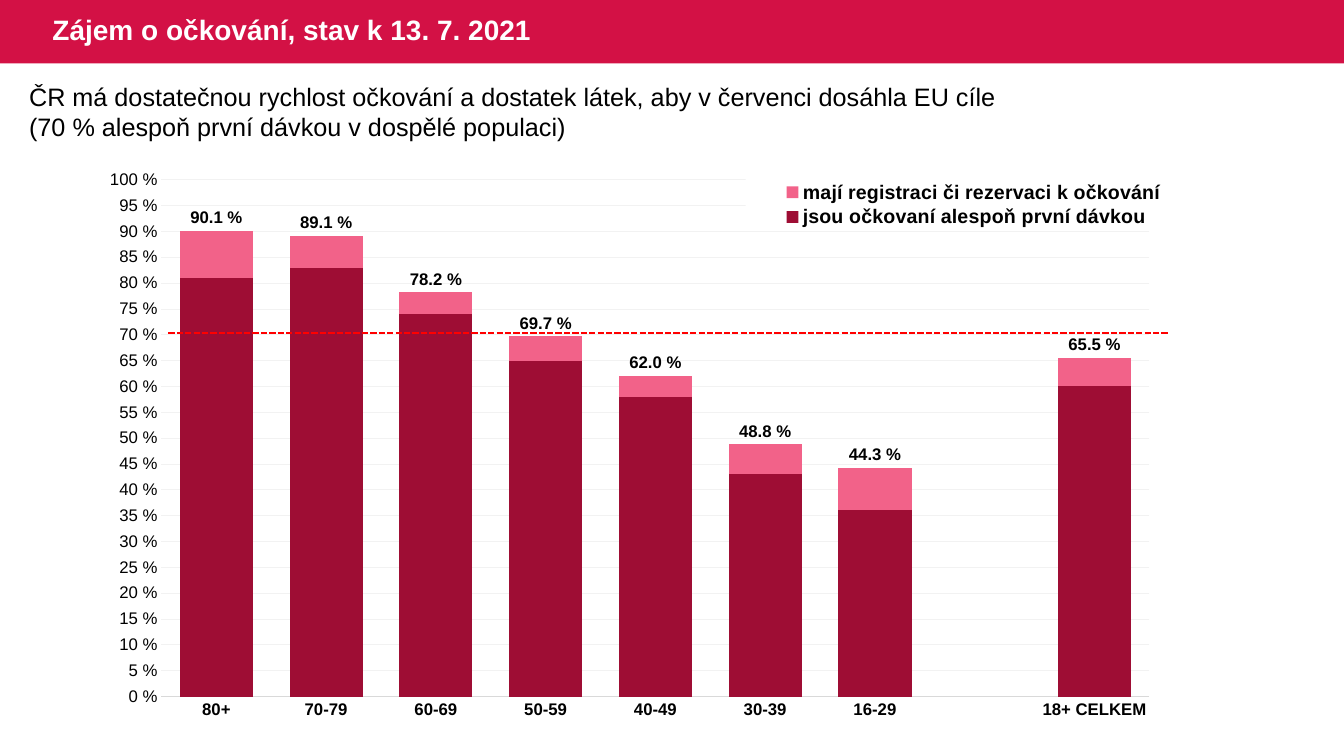
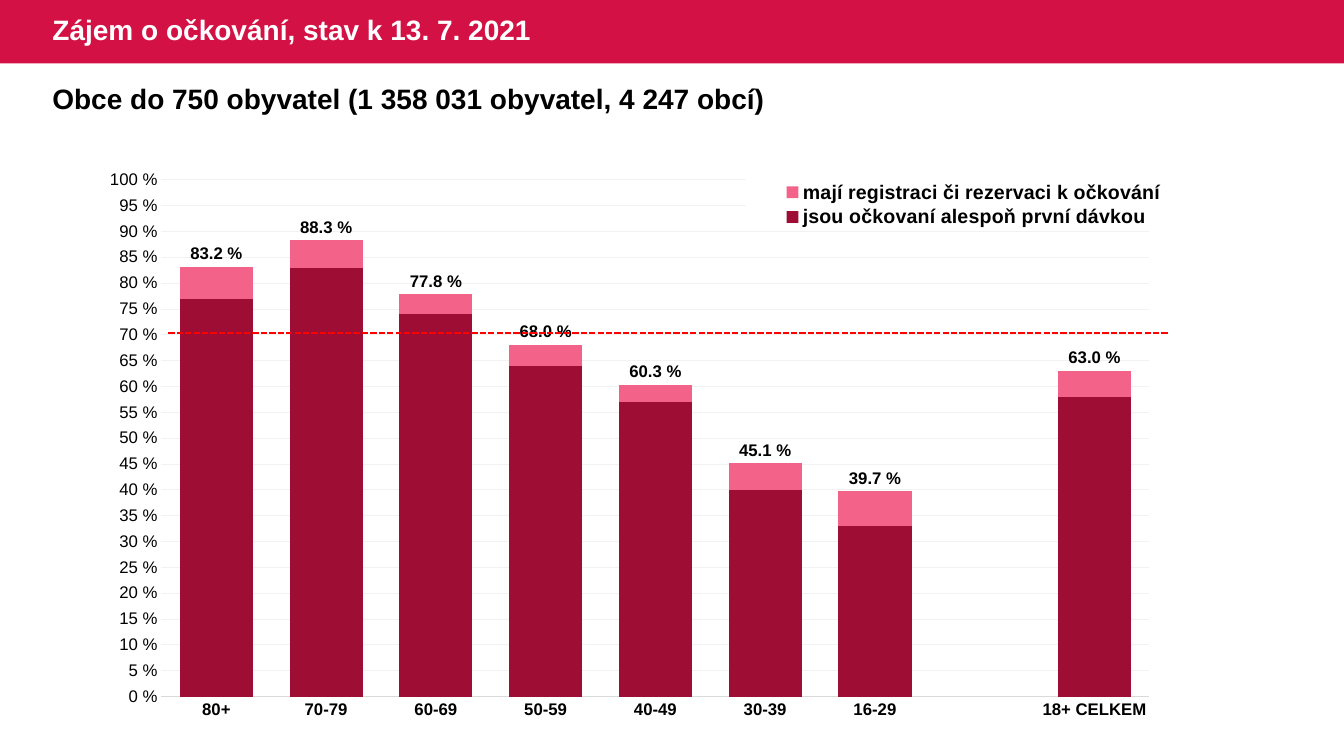
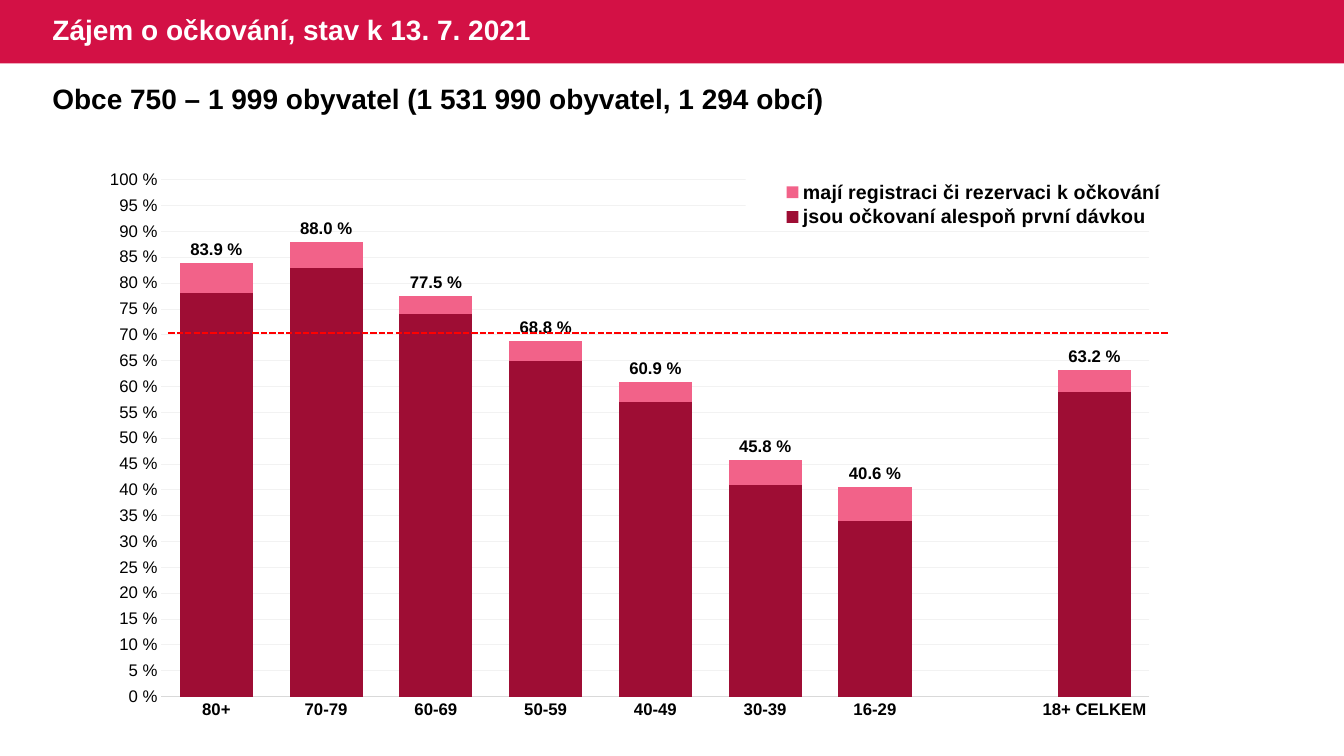
import dataclasses
import typing

import pptx
import pptx.chart.chart
import pptx.chart.data
import pptx.dml.color
import pptx.enum.chart
import pptx.enum.dml
import pptx.enum.shapes
import pptx.enum.text
import pptx.oxml
import pptx.oxml.ns
import pptx.slide
import pptx.util

Inches = pptx.util.Inches
Pt = pptx.util.Pt
qn = pptx.oxml.ns.qn

FONT = "Arial"
BAND, PINK, WINE, TARGET = "D31145", "F26289", "9E0D34", "FF0000"
AXIS, GRID, BLACK, WHITE = "D9D9D9", "F2F2F2", "000000", "FFFFFF"
WIDTH, HEIGHT, BAND_HEIGHT = 13.33, 7.5, 0.63

TITLE = "Zájem o očkování, stav k 13. 7. 2021"
GROUPS = ["80+", "70-79", "60-69", "50-59", "40-49", "30-39", "16-29", "", "18+ CELKEM"]
INTERESTED = "mají registraci či rezervaci k očkování"
VACCINATED = "jsou očkovaní alespoň první dávkou"
Values = list[float | None]


@dataclasses.dataclass(frozen=True)
class Page:
    """Heading lines and the chart values of one slide."""
    heading: list[str]
    interested: Values
    vaccinated: Values
    left: float = 0.42
    width: float = 12.39
    height: float = 0.44
    size: int = 20
    bold: bool = True


PAGES = [
    Page(["ČR má dostatečnou rychlost očkování a dostatek látek, aby v červenci dosáhla EU cíle",
          "(70 % alespoň první dávkou v dospělé populaci)"],
         [90.1, 89.1, 78.2, 69.7, 62, 48.8, 44.3, None, 65.5],
         [81, 83, 74, 65, 58, 43, 36, None, 60],
         left=0.19, width=12.62, height=0.71, size=18, bold=False),
    Page(["Obce do 750 obyvatel (1 358 031 obyvatel, 4 247 obcí)"],
         [83.2, 88.3, 77.8, 68, 60.3, 45.1, 39.7, None, 63],
         [77, 83, 74, 64, 57, 40, 33, None, 58]),
    Page(["Obce 750 – 1 999 obyvatel (1 531 990 obyvatel, 1 294 obcí)"],
         [83.9, 88, 77.5, 68.8, 60.9, 45.8, 40.6, None, 63.2],
         [78, 83, 74, 65, 57, 41, 34, None, 59]),
]


def rgb(color: str) -> pptx.dml.color.RGBColor:
    return pptx.dml.color.RGBColor.from_string(color)


def set_all(target: typing.Any, values: dict[str, typing.Any]) -> None:
    for name, value in values.items():
        setattr(target, name, value)


def set_font(font: typing.Any, size: int, bold: bool = False, color: str = BLACK) -> None:
    set_all(font, {"name": FONT, "size": Pt(size), "bold": bold})
    font.color.rgb = rgb(color)


def set_line(line: typing.Any, color: str, width: float) -> None:
    line.color.rgb = rgb(color)
    line.width = Pt(width)


def place(sp: typing.Any, left: float, top: float, width: float, height: float) -> None:
    set_all(sp, {"left": Inches(left), "top": Inches(top),
                 "width": Inches(width), "height": Inches(height)})


def chart_xml(tag: str, inner: str) -> typing.Any:
    spaces = pptx.oxml.ns.nsdecls("c", "a")
    return pptx.oxml.parse_xml(f"<c:{tag} {spaces}>{inner}</c:{tag}>")


def set_layout(parent: typing.Any, index: int, box: dict[str, float], inner: bool = False) -> None:
    """Fix the place of a chart part, as fractions of the chart."""
    for old in parent.findall(qn("c:layout")):
        parent.remove(old)
    parts = '<c:layoutTarget val="inner"/>' if inner else ""
    parts += '<c:xMode val="edge"/><c:yMode val="edge"/>'
    parts += "".join(f'<c:{key} val="{value}"/>' for key, value in box.items())
    parent.insert(index, chart_xml("layout", f"<c:manualLayout>{parts}</c:manualLayout>"))


def add_band(s: pptx.slide.Slide, layout: pptx.slide.SlideLayout) -> None:
    """Draw the title band and move it to the layout that all slides share."""
    sp = s.shapes.add_shape(pptx.enum.shapes.MSO_SHAPE.RECTANGLE,
                            0, 0, Inches(WIDTH), Inches(BAND_HEIGHT))
    sp.shadow.inherit = False
    sp.fill.solid()
    sp.fill.fore_color.rgb = rgb(BAND)
    sp.line.fill.background()
    layout.shapes._spTree.insert(2, sp._element)


def add_title(s: pptx.slide.Slide) -> None:
    sp = s.shapes.title
    place(sp, 0.42, 0, 5.9, BAND_HEIGHT)
    tf = sp.text_frame
    set_all(tf, {"text": TITLE, "word_wrap": True,
                 "auto_size": pptx.enum.text.MSO_AUTO_SIZE.NONE,
                 "vertical_anchor": pptx.enum.text.MSO_ANCHOR.MIDDLE})
    p = tf.paragraphs[0]
    set_all(p, {"alignment": pptx.enum.text.PP_ALIGN.LEFT, "line_spacing": 0.9})
    set_font(p.runs[0].font, 20, True, WHITE)


def add_heading(s: pptx.slide.Slide, page: Page) -> None:
    sp = s.shapes.add_textbox(Inches(page.left), Inches(0.76),
                              Inches(page.width), Inches(page.height))
    tf = sp.text_frame
    set_all(tf, {"text": "\n".join(page.heading), "word_wrap": True,
                 "auto_size": pptx.enum.text.MSO_AUTO_SIZE.SHAPE_TO_FIT_TEXT})
    for p in tf.paragraphs:
        set_font(p.runs[0].font, page.size, page.bold)


def format_axes(chart: pptx.chart.chart.Chart) -> None:
    none = pptx.enum.chart.XL_TICK_MARK.NONE
    for axis, bold in ((chart.category_axis, True), (chart.value_axis, False)):
        set_all(axis, {"major_tick_mark": none, "minor_tick_mark": none})
        set_font(axis.tick_labels.font, 12, bold)
    set_line(chart.category_axis.format.line, AXIS, 0.75)
    axis = chart.value_axis
    set_all(axis, {"minimum_scale": 0, "maximum_scale": 100, "major_unit": 5,
                   "has_major_gridlines": True})
    set_all(axis.tick_labels, {"number_format": '0" %"', "number_format_is_linked": False})
    set_line(axis.major_gridlines.format.line, GRID, 0.5)
    axis.format.line.fill.background()


def format_legend(chart: pptx.chart.chart.Chart) -> None:
    chart.has_legend = True
    legend = chart.legend
    set_all(legend, {"position": pptx.enum.chart.XL_LEGEND_POSITION.TOP,
                     "include_in_layout": False})
    set_font(legend.font, 14, True)
    el = legend._element
    set_layout(el, 1, {"x": 0.57, "y": 0.03, "w": 0.41, "h": 0.09})
    # White ground hides the gridlines behind the legend
    fill = f'<a:solidFill><a:srgbClr val="{WHITE}"/></a:solidFill>'
    el.find(qn("c:overlay")).addnext(chart_xml("spPr", fill))


def add_interest_chart(s: pptx.slide.Slide, page: Page) -> None:
    data = pptx.chart.data.CategoryChartData()
    data.categories = GROUPS
    data.add_series(INTERESTED, page.interested)
    data.add_series(VACCINATED, page.vaccinated)
    chart = s.shapes.add_chart(pptx.enum.chart.XL_CHART_TYPE.COLUMN_CLUSTERED,
                               Inches(1.09), Inches(1.6), Inches(11.05), Inches(5.73),
                               data).chart
    chart.has_title = False
    set_font(chart.font, 10)
    plot = chart.plots[0]
    set_all(plot, {"gap_width": 50, "overlap": 100, "vary_by_categories": False})
    for series, color in zip(plot.series, (PINK, WINE)):
        series.format.fill.solid()
        series.format.fill.fore_color.rgb = rgb(color)
    labels = plot.series[0].data_labels
    set_all(labels, {"show_value": True, "number_format": '0.0" %"',
                     "number_format_is_linked": False,
                     "position": pptx.enum.chart.XL_LABEL_POSITION.OUTSIDE_END})
    set_font(labels.font, 12, True)
    format_axes(chart)
    format_legend(chart)
    plot_area = chart._chartSpace.find(f"{qn('c:chart')}/{qn('c:plotArea')}")
    set_layout(plot_area, 0, {"x": 0.045, "y": 0.032, "w": 0.888, "h": 0.895}, inner=True)


def add_target_line(s: pptx.slide.Slide) -> None:
    """Mark the 70 % target."""
    line = s.shapes.add_connector(pptx.enum.shapes.MSO_CONNECTOR.STRAIGHT,
                                  Inches(1.67), Inches(3.3), Inches(11.59), Inches(3.3))
    set_line(line.line, TARGET, 1.5)
    line.line.dash_style = pptx.enum.dml.MSO_LINE.SQUARE_DOT
    sp_pr = line._element.spPr
    sp_pr.append(sp_pr.makeelement(qn("a:effectLst"), {}))


def main() -> None:
    prs = pptx.Presentation()
    set_all(prs, {"slide_width": Inches(WIDTH), "slide_height": Inches(HEIGHT)})
    layout = prs.slide_layouts.get_by_name("Title Only")
    for number, page in enumerate(PAGES):
        s = prs.slides.add_slide(layout)
        if number == 0:
            add_band(s, layout)
        add_title(s)
        add_heading(s, page)
        add_interest_chart(s, page)
        add_target_line(s)
    prs.save("out.pptx")


if __name__ == "__main__":
    main()
